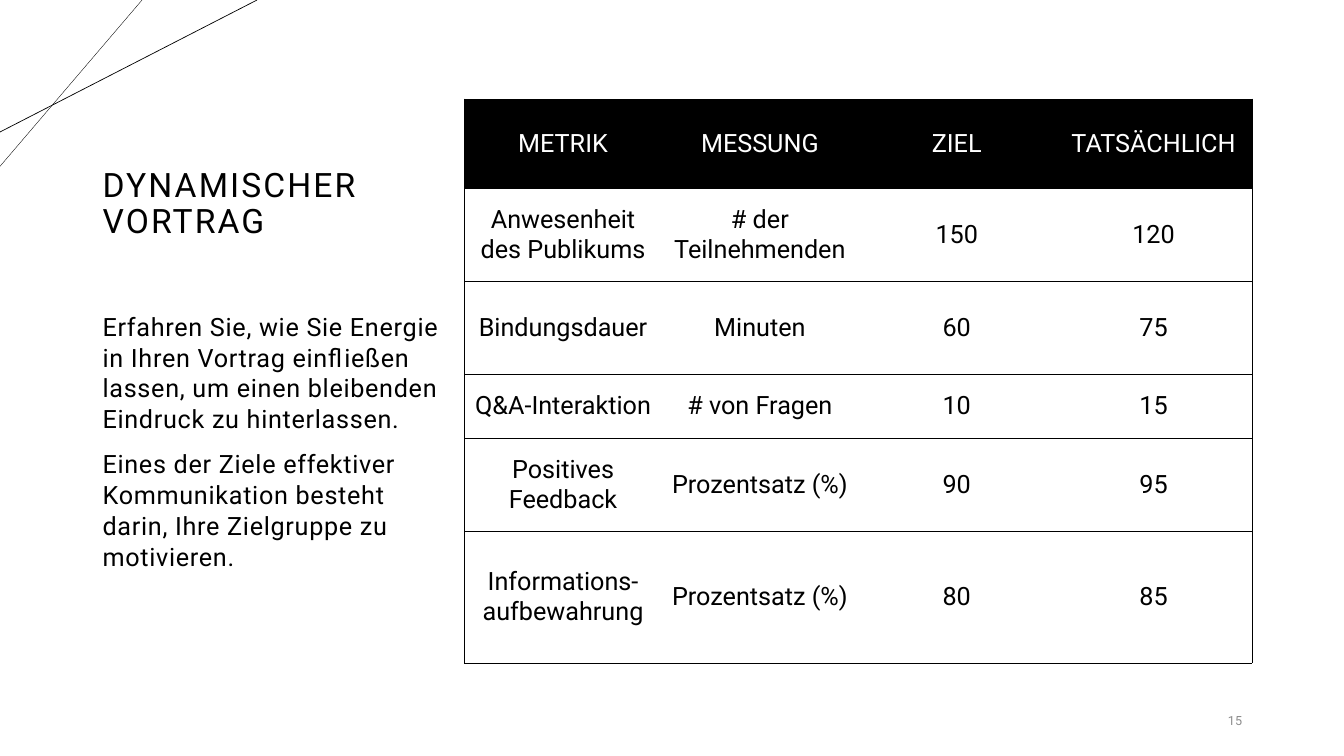
from dataclasses import dataclass

from lxml import etree
from pptx import Presentation
from pptx.dml.color import RGBColor
from pptx.enum.shapes import MSO_CONNECTOR
from pptx.enum.text import MSO_ANCHOR, MSO_AUTO_SIZE, PP_ALIGN
from pptx.oxml.ns import qn
from pptx.util import Pt

LEFT, CENTER, RIGHT = PP_ALIGN.LEFT, PP_ALIGN.CENTER, PP_ALIGN.RIGHT
TOP, MIDDLE = MSO_ANCHOR.TOP, MSO_ANCHOR.MIDDLE
STRAIGHT = MSO_CONNECTOR.STRAIGHT
NO_AUTOFIT = MSO_AUTO_SIZE.NONE

FONT = "Roboto"
COLORS = {"ink": "000000", "paper": "FFFFFF", "muted": "8C8C8C"}
BORDER_WIDTH = 0.5

INTRO = [
    "Erfahren Sie, wie Sie Energie in Ihren Vortrag einfließen lassen, "
    "um einen bleibenden Eindruck zu hinterlassen.",
    "Eines der Ziele effektiver Kommunikation besteht darin, "
    "Ihre Zielgruppe zu motivieren.",
]
METRICS = [
    ("METRIK", "MESSUNG", "ZIEL", "TATSÄCHLICH"),
    ("Anwesenheit des Publikums", "# der Teilnehmenden", "150", "120"),
    ("Bindungsdauer", "Minuten", "60", "75"),
    ("Q&A-Interaktion", "# von Fragen", "10", "15"),
    ("Positives Feedback", "Prozentsatz (%)", "90", "95"),
    ("Informations-aufbewahrung", "Prozentsatz (%)", "80", "85"),
]
ROW_HEIGHTS = [64.1, 66.2, 66.2, 46.1, 66.2, 94.3]
COLUMN_WIDTH = 140.6


@dataclass(frozen=True)
class Box:
    left: float
    top: float
    width: float
    height: float

    def lengths(self) -> tuple:
        return Pt(self.left), Pt(self.top), Pt(self.width), Pt(self.height)


@dataclass(frozen=True)
class CornerLine:
    top_x: float
    left_y: float
    weight: float


CORNER_LINES = [CornerLine(101.5, 118.8, 0.25), CornerLine(183.6, 94.3, 0.5)]
TITLE_BOX = Box(66.2, 70.6, 244.1, 151.2)
INTRO_BOX = Box(66.2, 221.8, 255.6, 254.9)
TABLE_BOX = Box(331.9, 70.6, COLUMN_WIDTH * len(METRICS[0]), sum(ROW_HEIGHTS))
NUMBER_BOX = Box(816.5, 500.4, 77.8, 28.8)


def write(frame, paragraphs: list[str], *, size: float = 18, color: str = "ink",
          align=LEFT, tracking: float = 0, line_spacing: float = 1,
          gap: float = 0) -> None:
    """Fill a text frame; tracking and gap are in points."""
    for index, text in enumerate(paragraphs):
        paragraph = frame.paragraphs[0] if index == 0 else frame.add_paragraph()
        paragraph.alignment = align
        paragraph.line_spacing = line_spacing
        paragraph.space_before = Pt(gap if index else 0)
        run = paragraph.add_run()
        run.text = text
        run.font.name = FONT
        run.font.size = Pt(size)
        run.font.color.rgb = RGBColor.from_string(COLORS[color])
        if tracking:
            run.font._element.set("spc", str(round(tracking * 100)))


def set_frame(frame, anchor, top_inset: float = 3.6) -> None:
    frame.word_wrap = True
    frame.auto_size = NO_AUTOFIT
    frame.vertical_anchor = anchor
    frame.margin_top = Pt(top_inset)


def add_corner_line(slide, line: CornerLine) -> None:
    connector = slide.shapes.add_connector(
        STRAIGHT, Pt(line.top_x), Pt(0), Pt(0), Pt(line.left_y))
    connector.line.color.rgb = RGBColor.from_string(COLORS["ink"])
    connector.line.width = Pt(line.weight)
    etree.SubElement(connector._element.spPr, qn("a:effectLst"))


def set_borders(cell, visible: set[str]) -> None:
    properties = cell._tc.get_or_add_tcPr()
    for side in "LRTB":
        border = etree.SubElement(properties, qn(f"a:ln{side}"))
        if side in visible:
            border.set("w", str(Pt(BORDER_WIDTH)))
            fill = etree.SubElement(border, qn("a:solidFill"))
            etree.SubElement(fill, qn("a:srgbClr"), val=COLORS["ink"])
        else:
            border.set("w", "0")
            etree.SubElement(border, qn("a:noFill"))


def add_metrics_table(slide) -> None:
    last_column = len(METRICS[0]) - 1
    table = slide.shapes.add_table(
        len(METRICS), len(METRICS[0]), *TABLE_BOX.lengths()).table
    table.horz_banding = False
    for column in table.columns:
        column.width = Pt(COLUMN_WIDTH)
    for r, (height, values) in enumerate(zip(ROW_HEIGHTS, METRICS)):
        table.rows[r].height = Pt(height)
        fill, color = ("ink", "paper") if r == 0 else ("paper", "ink")
        for c, value in enumerate(values):
            cell = table.cell(r, c)
            sides = {"T", "B"}
            if c == 0:
                sides.add("L")
            if c == last_column:
                sides.add("R")
            set_borders(cell, sides)
            cell.fill.solid()
            cell.fill.fore_color.rgb = RGBColor.from_string(COLORS[fill])
            cell.vertical_anchor = MIDDLE
            write(cell.text_frame, [value], color=color, align=CENTER)


def main() -> None:
    prs = Presentation()
    prs.slide_width, prs.slide_height = Pt(960), Pt(540)
    slide = prs.slides.add_slide(prs.slide_layouts[5])

    # Corner decoration
    for line in CORNER_LINES:
        add_corner_line(slide, line)

    # Title
    title = slide.shapes.title
    title.left, title.top, title.width, title.height = TITLE_BOX.lengths()
    set_frame(title.text_frame, MIDDLE)
    write(title.text_frame, ["DYNAMISCHER VORTRAG"], size=24, tracking=1.5,
          line_spacing=0.9)

    # Introduction
    intro = slide.shapes.add_textbox(*INTRO_BOX.lengths()).text_frame
    set_frame(intro, TOP, top_inset=0)
    write(intro, INTRO, tracking=0.5, line_spacing=1.02, gap=10)

    # Metrics
    add_metrics_table(slide)

    # Slide number
    number = slide.shapes.add_textbox(*NUMBER_BOX.lengths()).text_frame
    set_frame(number, MIDDLE)
    write(number, ["15"], size=9, color="muted", align=RIGHT)

    prs.save("out.pptx")


if __name__ == "__main__":
    main()
